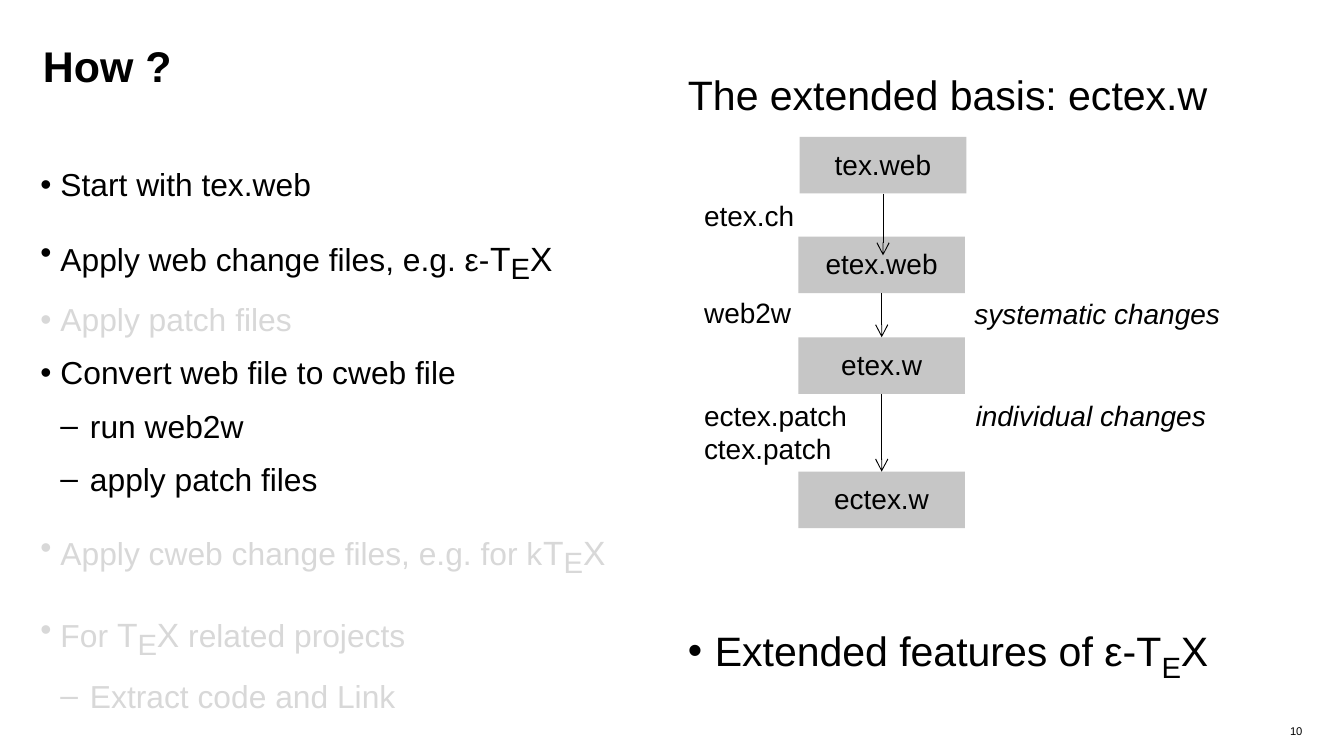
from lxml import etree
from pptx import Presentation
from pptx.dml.color import RGBColor
from pptx.enum.shapes import MSO_CONNECTOR, MSO_SHAPE
from pptx.enum.text import MSO_ANCHOR, PP_ALIGN
from pptx.oxml.ns import qn
from pptx.util import Pt

RECTANGLE, STRAIGHT = MSO_SHAPE.RECTANGLE, MSO_CONNECTOR.STRAIGHT
TOP, MIDDLE = MSO_ANCHOR.TOP, MSO_ANCHOR.MIDDLE
LEFT, CENTER, RIGHT = PP_ALIGN.LEFT, PP_ALIGN.CENTER, PP_ALIGN.RIGHT
COLORS = {"text": "000000", "faded": "D8D8D8", "box": "C6C6C6"}
FONT = "Arial"

# Content: a "|" stands for the lowered-E TeX logotype
STEPS = [  # text, level, color
    ("Start with tex.web", 0, "text"),
    ("Apply web change files, e.g. ε-|", 0, "text"),
    ("Apply patch files", 0, "faded"),
    ("Convert web file to cweb file", 0, "text"),
    ("run web2w", 1, "text"),
    ("apply patch files", 1, "text"),
    ("Apply cweb change files, e.g. for k|", 0, "faded"),
    ("For | related projects", 0, "faded"),
    ("Extract code and Link", 1, "faded"),
]
BULLETS = [("•", 10.8), ("‒", 26.6)]  # character, text margin by level
BULLET_HANGS = [10.8, 15.8]
FILES = [("tex.web", 428.4, 73.4), ("etex.web", 427.7, 126.7),
         ("etex.w", 427.7, 180.7), ("ectex.w", 427.7, 252.7)]
BOX_WIDTH, BOX_HEIGHT = 89.3, 30.3
ARROW_ENDS = [136.8, 180.7, 252.7]
LABELS = [  # lines, left, top, width, italic
    (["etex.ch"], 372.2, 104.4, 60, False),
    (["web2w"], 372.2, 156.2, 58.3, False),
    (["ectex.patch", "ctex.patch"], 372.2, 211.7, 88.6, False),
    (["systematic changes"], 517, 157, 144, True),
    (["individual changes"], 517.7, 211.7, 135.4, True),
]

deck = Presentation()
deck.slide_width, deck.slide_height = Pt(720), Pt(405)
page = deck.slides.add_slide(deck.slide_layouts[6])


def set_frame(frame, inset=(0, 0), anchor=TOP, wrap=True):
    frame.margin_left = frame.margin_right = Pt(inset[0])
    frame.margin_top = frame.margin_bottom = Pt(inset[1])
    frame.vertical_anchor = anchor
    frame.word_wrap = wrap


def add_span(para, text, size, color="text", bold=False, italic=False):
    span = para.add_run()
    span.text = text
    font = span.font
    font.name, font.size, font.bold, font.italic = FONT, Pt(size), bold, italic
    font.color.rgb = RGBColor.from_string(COLORS[color])
    return span


def add_rich_text(para, text, size, color, logo_size, drop):
    """Write text, setting each "|" as T, lowered E, X."""
    for index, part in enumerate(text.split("|")):
        if index:
            for letter in "TEX":
                span = add_span(para, letter, 27 if letter == "E" else logo_size, color)
                properties = span.font._element
                properties.set("spc", "-220")
                if letter == "E":
                    properties.set("baseline", str(-drop * 1000))
        if part:
            add_span(para, part, size, color)


def set_bullet(para, character, margin, hang):
    properties = para._p.get_or_add_pPr()
    properties.set("marL", str(Pt(margin)))
    properties.set("indent", str(-Pt(hang)))
    etree.SubElement(properties, qn("a:buFont")).set("typeface", FONT)
    etree.SubElement(properties, qn("a:buChar")).set("char", character)


def set_para(para, spacing, after=0, align=LEFT):
    para.line_spacing, para.space_after, para.alignment = spacing, Pt(after), align


def add_box(left, top, width, height, **frame_options):
    box = page.shapes.add_textbox(Pt(left), Pt(top), Pt(width), Pt(height))
    set_frame(box.text_frame, **frame_options)
    return box.text_frame


def paragraphs(frame, items):
    for index, item in enumerate(items):
        yield (frame.add_paragraph() if index else frame.paragraphs[0]), item


# Title, subtitle and slide number
for text, place, size, spacing, after, align, bold in [
    ("How ?", (23, 24.5, 676, 52.5), 23, 0.9, 0, LEFT, True),
    ("The extended basis: ectex.w", (368.6, 34.6, 338.4, 25.2), 22, 1.1, 8, LEFT, False),
    ("10", (622, 388, 75.7, 13), 6, 1.0, 0, RIGHT, False),
]:
    para = add_box(*place).paragraphs[0]
    set_para(para, spacing, after, align)
    add_span(para, text, size, bold=bold)

# Steps on the left
steps = add_box(21.6, 86.4, 306, 275.8)
for para, (text, level, color) in paragraphs(steps, STEPS):
    para.level = level
    set_para(para, 1.1, 6)
    set_bullet(para, *BULLETS[level], BULLET_HANGS[level])
    add_rich_text(para, text, 17, color, 18, 16)

# Closing bullet on the right
para = add_box(368.6, 326.2, 338.4, 25.2).paragraphs[0]
set_para(para, 1.1, 8)
set_bullet(para, "•", 14.4, 14.4)
add_rich_text(para, "Extended features of ε-|", 22, "text", 22, 25)

# File boxes
for name, left, top in FILES:
    box = page.shapes.add_shape(RECTANGLE, Pt(left), Pt(top), Pt(BOX_WIDTH), Pt(BOX_HEIGHT))
    box.shadow.inherit = False
    box.fill.solid()
    box.fill.fore_color.rgb = RGBColor.from_string(COLORS["box"])
    box.line.fill.background()
    set_frame(box.text_frame, (5, 2.9), MIDDLE)
    para = box.text_frame.paragraphs[0]
    set_para(para, 0.97, align=CENTER)
    add_span(para, name, 15)

# Arrows from each file to the next
for (name, left, top), end in zip(FILES, ARROW_ENDS):
    x = Pt(left + BOX_WIDTH / 2)
    arrow = page.shapes.add_connector(STRAIGHT, x, Pt(top + BOX_HEIGHT), x, Pt(end))
    arrow.line.width = Pt(0.5)
    arrow.line.color.rgb = RGBColor.from_string(COLORS["text"])
    etree.SubElement(arrow.line._get_or_add_ln(), qn("a:tailEnd")).set("type", "arrow")
    etree.SubElement(arrow._element.spPr, qn("a:effectLst"))

# Arrow labels
for lines, left, top, width, italic in LABELS:
    label = add_box(left, top, width, 5.8 + 17.3 * len(lines), inset=(5, 2.9), wrap=False)
    for para, line in paragraphs(label, lines):
        set_para(para, 0.97)
        add_span(para, line, 15, italic=italic)

deck.save("out.pptx")
